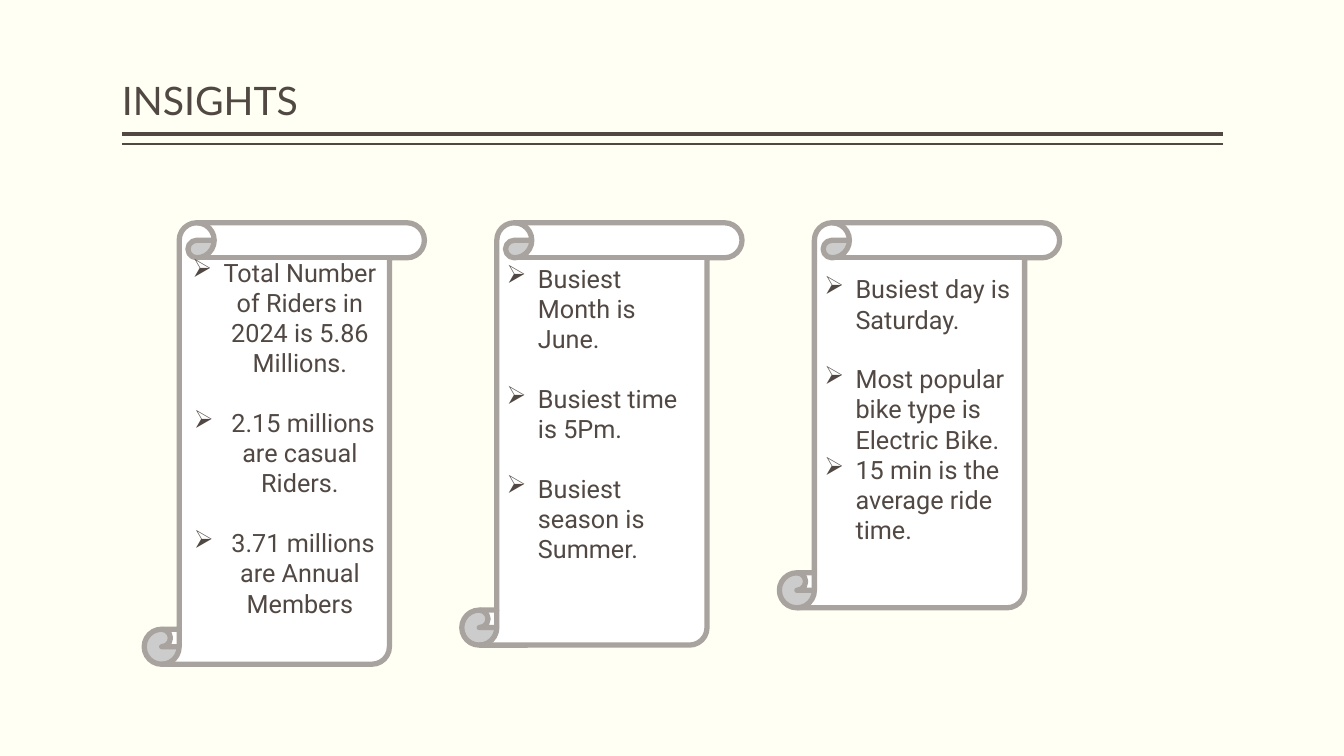
from lxml.etree import SubElement
from pptx import Presentation
from pptx.dml.color import RGBColor
from pptx.enum.shapes import MSO_CONNECTOR as Connector, MSO_SHAPE as Shape
from pptx.enum.text import MSO_ANCHOR as Anchor, MSO_AUTO_SIZE as AutoSize, PP_ALIGN as Align
from pptx.oxml.ns import qn
from pptx.util import Inches, Pt

INK, PAPER, WHITE, BORDER = "514843", "FFFFF3", "FFFFFF", "A8A39E"
LINE_GAP = 21
INDENT = 31
SCROLL_LEFT, SCROLL_TOP, SCROLL_WIDTH, SCROLL_STEP = 143, 221, 278, 315
SCROLLS = [
    (438, Align.CENTER, 1, [
        ("Total Number of Riders in 2024 is 5.86 Millions.", 0),
        (" 2.15 millions are casual Riders.", 1),
        (" 3.71 millions are Annual Members", 1),
    ]),
    (419, Align.LEFT, 2, [
        ("Busiest Month is June.", 0),
        ("Busiest time is 5Pm.", 1),
        ("Busiest season is Summer.", 1),
    ]),
    (382, Align.LEFT, 1, [
        ("Busiest day is Saturday.", 0),
        ("Most popular bike type is Electric Bike.", 1),
        ("15 min is the average ride time.", 0),
    ]),
]


def px(length):
    """Turn px, 100 to the inch, into EMU."""
    return Inches(length / 100)


def color(value):
    """Turn a hex string into a colour."""
    return RGBColor.from_string(value)


def style_runs(paragraph, font, size):
    """Format every run of a paragraph in the ink colour."""
    for run in paragraph.runs:
        run.font.name = font
        run.font.size = Pt(size)
        run.font.color.rgb = color(INK)


def add_rule(slide, left, top, width, weight):
    """Draw a horizontal rule."""
    rule = slide.shapes.add_connector(
        Connector.STRAIGHT, px(left), px(top), px(left + width), px(top))
    rule.line.color.rgb = color(INK)
    rule.line.width = Pt(weight)
    SubElement(rule.element.spPr, qn("a:effectLst"))


def add_header(slide, left, top, width, height, text):
    """Place the title with a double rule below it."""
    add_rule(slide, left, top + height + 5, width, 3)
    add_rule(slide, left, top + height + 15, width, 1)
    title = slide.shapes.title
    title.left, title.top, title.width, title.height = map(px, (left, top, width, height))
    frame = title.text_frame
    frame.text = text
    frame.auto_size = AutoSize.NONE
    frame.vertical_anchor = Anchor.BOTTOM
    frame.margin_left = frame.margin_right = 0
    paragraph = frame.paragraphs[0]
    paragraph.alignment = Align.LEFT
    paragraph.line_spacing = 0.9
    style_runs(paragraph, "Lato", 28)


def add_bullet(paragraph):
    """Give a paragraph an arrow bullet with a hanging indent."""
    properties = paragraph._p.get_or_add_pPr()
    properties.set("marL", str(px(INDENT)))
    properties.set("indent", str(-px(INDENT)))
    SubElement(properties, qn("a:buChar")).set("char", "➢")


def add_scroll(slide, left, top, width, height, alignment, lines_below, items):
    """Draw a scroll holding a bulleted list of text and lines of space before."""
    scroll = slide.shapes.add_shape(
        Shape.VERTICAL_SCROLL, px(left), px(top), px(width), px(height))
    scroll.shadow.inherit = False
    scroll.fill.solid()
    scroll.fill.fore_color.rgb = color(WHITE)
    scroll.line.color.rgb = color(BORDER)
    scroll.line.width = Pt(3.78)
    frame = scroll.text_frame
    frame.word_wrap = True
    frame.vertical_anchor = Anchor.MIDDLE
    frame.margin_bottom = px(5) + Pt(LINE_GAP * lines_below)
    frame.text = "\n".join(text for text, _ in items)
    for paragraph, (_, lines_before) in zip(frame.paragraphs, items):
        paragraph.alignment = alignment
        paragraph.space_before = Pt(LINE_GAP * lines_before)
        add_bullet(paragraph)
        style_runs(paragraph, "Roboto", 18)


def main():
    """Build the insights slide."""
    presentation = Presentation()
    presentation.slide_width, presentation.slide_height = px(1333), px(750)
    slide = presentation.slides.add_slide(presentation.slide_layouts[5])
    slide.background.fill.solid()
    slide.background.fill.fore_color.rgb = color(PAPER)
    add_header(slide, 121, 8, 1092, 120, "INSIGHTS")
    for index, (height, alignment, lines_below, items) in enumerate(SCROLLS):
        add_scroll(slide, SCROLL_LEFT + index * SCROLL_STEP, SCROLL_TOP, SCROLL_WIDTH,
                   height, alignment, lines_below, items)
    presentation.save("out.pptx")


if __name__ == "__main__":
    main()
